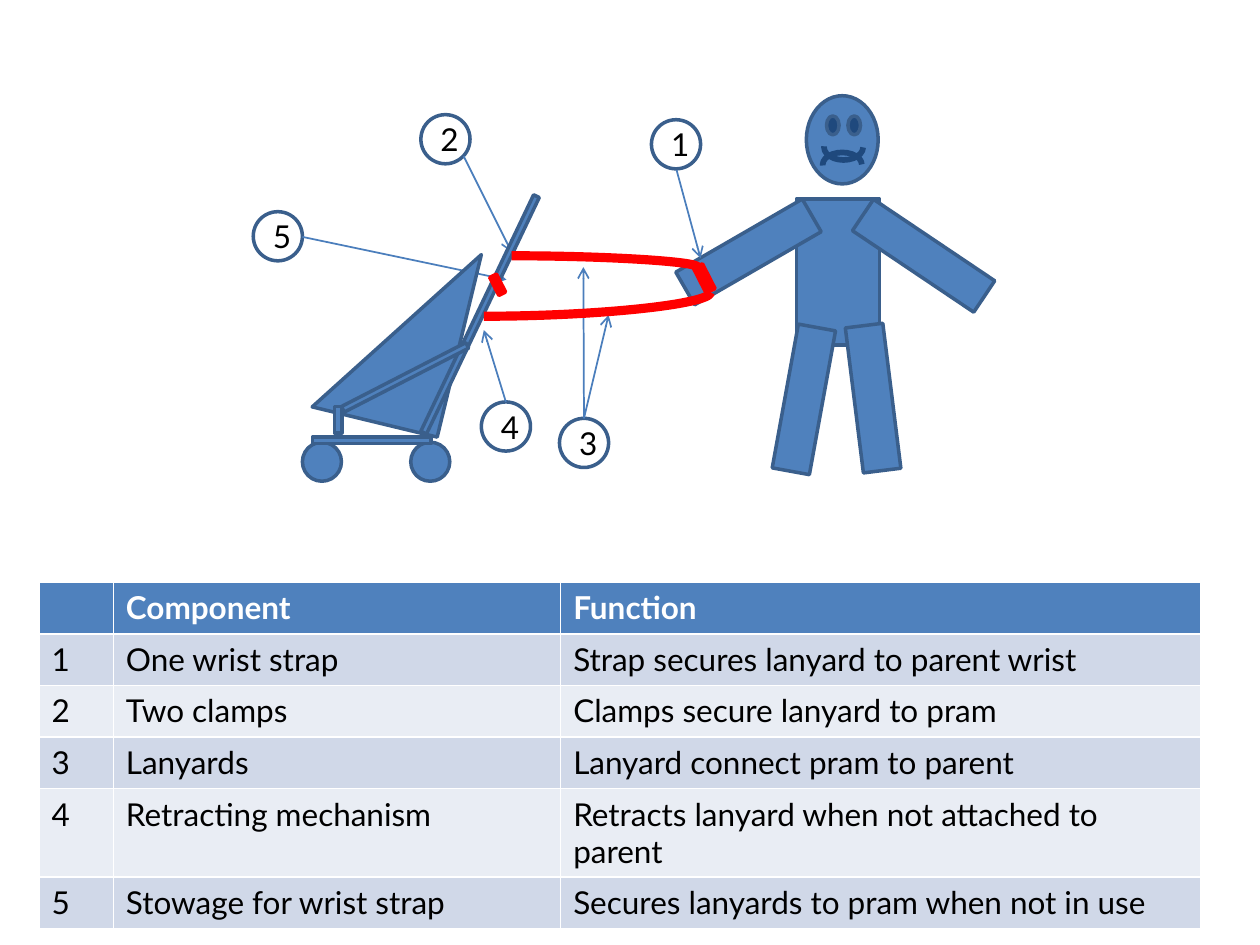
from lxml import etree
from pptx import Presentation
from pptx.dml.color import RGBColor
from pptx.enum.shapes import MSO_CONNECTOR, MSO_SHAPE
from pptx.enum.text import MSO_ANCHOR, PP_ALIGN
from pptx.oxml.ns import qn
from pptx.util import Inches, Pt

OVAL = MSO_SHAPE.OVAL
RECTANGLE = MSO_SHAPE.RECTANGLE
PROCESS = MSO_SHAPE.FLOWCHART_PROCESS
TRIANGLE = MSO_SHAPE.RIGHT_TRIANGLE
ARC = MSO_SHAPE.ARC
STRAIGHT = MSO_CONNECTOR.STRAIGHT
CURVE = MSO_CONNECTOR.CURVE
CENTER = PP_ALIGN.CENTER
MIDDLE = MSO_ANCHOR.MIDDLE

COLORS = {
    "blue": "4F81BD", "outline": "3A5F8C", "arrow": "4B7EBC", "navy": "1F497D",
    "red": "FF0000", "white": "FFFFFF", "black": "000000",
    "band_dark": "D0D8E8", "band_light": "E9EDF4",
}
FONT = {"name": "Lato", "size": Pt(18), "bold": False}
HEADER_FONT = {**FONT, "bold": True}

CALLOUT_SIZE = 0.39
CALLOUTS = {
    "1": (5.17, 0.95), "2": (3.34, 0.91), "3": (4.44, 3.32),
    "4": (3.82, 3.19), "5": (2.01, 1.68),
}
BACK_ARROWS = [((3.68, 1.24), (4.06, 2)), ((2.4, 1.88), (4.02, 2.22))]
FRONT_ARROWS = [((5.37, 1.35), (5.56, 2.05))]
TOP_ARROWS = [("3", (4.83, 2.5)), ("3", (4.63, 2.12)), ("4", (3.84, 2.62))]
LANYARDS = [((4.06, 2.03), (5.54, 2.12)), ((3.84, 2.51), (5.64, 2.32))]

PRAM = [
    (OVAL, (2.4, 3.51, 0.31, 0.31), 0),
    (OVAL, (3.26, 3.51, 0.31, 0.31), 0),
    (RECTANGLE, (2.48, 3.47, 0.94, 0.05), 0),
    (RECTANGLE, (2.58, 3.3, 0.21, 0.06), 270),
    (RECTANGLE, (2.77, 2.47, 2.08, 0.05), 295.5),
    (RECTANGLE, (2.66, 2.97, 1.11, 0.05), 332.8),
]
BODY = [
    ((6.32, 1.58, 0.66, 1.16), 0),
    ((5.79, 1.42, 0.3, 1.16), 60),
    ((7.18, 1.45, 0.3, 1.16), 123.9),
    ((6.23, 2.59, 0.3, 1.16), 10.3),
    ((6.78, 2.58, 0.3, 1.16), 352.9),
]
TABLE_BOX = (0.31, 4.62, 9.21, 2.46)
COLUMN_WIDTHS = [0.59, 3.55, 5.08]
ROWS = [
    ("", "Component", "Function"),
    ("1", "One wrist strap", "Strap secures lanyard to parent wrist"),
    ("2", "Two clamps", "Clamps secure lanyard to pram"),
    ("3", "Lanyards", "Lanyard connect pram to parent"),
    ("4", "Retracting mechanism", "Retracts lanyard when not attached to parent"),
    ("5", "Stowage for wrist strap", "Secures lanyards to pram when not in use"),
]


def rgb(name):
    """Return the named colour."""
    return RGBColor.from_string(COLORS[name])


def format_text(paragraph, color, values):
    """Apply font values and a colour to a paragraph."""
    for name, value in values.items():
        setattr(paragraph.font, name, value)
    paragraph.font.color.rgb = rgb(color)


def add_figure(shapes, kind, box, rotation=0, fill="blue", line="outline", width=2):
    """Add a preset shape, unfilled if fill is None."""
    shape = shapes.add_shape(kind, *map(Inches, box))
    shape.shadow.inherit = False
    shape.rotation = rotation
    if fill:
        shape.fill.solid()
        shape.fill.fore_color.rgb = rgb(fill)
    else:
        shape.fill.background()
    shape.line.color.rgb = rgb(line)
    shape.line.width = Pt(width)
    return shape


def flip(shape, direction):
    """Mirror a shape along flipH or flipV."""
    shape._element.spPr.find(qn("a:xfrm")).set(direction, "1")


def add_callout(shapes, number):
    """Add a numbered circle."""
    box = (*CALLOUTS[number], CALLOUT_SIZE, CALLOUT_SIZE)
    shape = add_figure(shapes, OVAL, box, fill="white")
    shape.text_frame.text = number
    shape.text_frame.vertical_anchor = MIDDLE
    paragraph = shape.text_frame.paragraphs[0]
    paragraph.alignment = CENTER
    format_text(paragraph, "black", FONT)
    return shape


def add_line(shapes, kind, start, end, color, width):
    """Add a connector without a shadow."""
    connector = shapes.add_connector(kind, *map(Inches, (*start, *end)))
    connector.line.color.rgb = rgb(color)
    connector.line.width = Pt(width)
    etree.SubElement(connector._element.spPr, qn("a:effectLst"))
    return connector


def add_arrow(shapes, start, end):
    """Add a thin arrow with an open head."""
    connector = add_line(shapes, STRAIGHT, start, end, "arrow", 1)
    etree.SubElement(connector.line._get_or_add_ln(), qn("a:tailEnd"), type="arrow")
    return connector


def add_lanyard(shapes, start, end):
    """Add a red lanyard that bends once."""
    connector = add_line(shapes, CURVE, start, end, "red", 5.25)
    geometry = connector._element.spPr.find(qn("a:prstGeom"))
    geometry.set("prst", "curvedConnector2")


def add_pram(shapes):
    """Add the pram and its stowage clip as one group."""
    parts = shapes.add_group_shape().shapes
    seat = add_figure(parts, TRIANGLE, (2.64, 1.88, 1.02, 1.49), 13.6)
    flip(seat, "flipH")
    for kind, box, rotation in PRAM:
        add_figure(parts, kind, box, rotation)
    add_figure(parts, PROCESS, (3.92, 2.18, 0.06, 0.16), 333, "red", "red")


def add_head(shapes):
    """Add the head with eyes and mouth."""
    add_figure(shapes, OVAL, (6.4, 0.76, 0.57, 0.7))
    for left in (6.56, 6.73):
        add_figure(shapes, OVAL, (left, 0.92, 0.1, 0.15), fill="navy")
    mouth = [
        add_figure(shapes, ARC, box, fill=None, line="navy", width=3.25)
        for box in ((6.54, 1.07, 0.31, 0.2), (6.53, 1.21, 0.31, 0.19))
    ]
    for arc in mouth:
        arc.adjustments[0] = 106.08
        arc.adjustments[1] = 0
    flip(mouth[0], "flipV")


def add_component_table(shapes):
    """Add the table of components and functions."""
    frame = shapes.add_table(len(ROWS), len(COLUMN_WIDTHS), *map(Inches, TABLE_BOX))
    table = frame.table
    for column, width in zip(table.columns, COLUMN_WIDTHS):
        column.width = Inches(width)
    for index, texts in enumerate(ROWS):
        fill = "band_dark" if index % 2 else "band_light"
        color, font = "black", FONT
        if index == 0:
            fill, color, font = "blue", "white", HEADER_FONT
        for cell, text in zip(table.rows[index].cells, texts):
            cell.text = text
            cell.fill.solid()
            cell.fill.fore_color.rgb = rgb(fill)
            format_text(cell.text_frame.paragraphs[0], color, font)


def main():
    """Build and save the slide."""
    presentation = Presentation()
    presentation.slide_width = Inches(10)
    presentation.slide_height = Inches(7.5)
    slide = presentation.slides.add_slide(presentation.slide_layouts[6])
    shapes = slide.shapes
    add_component_table(shapes)
    callouts = {number: add_callout(shapes, number) for number in CALLOUTS}
    for start, end in BACK_ARROWS:
        add_arrow(shapes, start, end)
    add_pram(shapes)
    for box, rotation in BODY:
        add_figure(shapes, RECTANGLE, box, rotation)
    add_figure(shapes, PROCESS, (5.55, 2.1, 0.08, 0.22), 333, "red", "red")
    for start, end in FRONT_ARROWS:
        add_arrow(shapes, start, end)
    for number, end in TOP_ARROWS:
        add_arrow(shapes, CALLOUTS[number], end).begin_connect(callouts[number], 0)
    for start, end in LANYARDS:
        add_lanyard(shapes, start, end)
    add_head(shapes)
    presentation.save("out.pptx")


if __name__ == "__main__":
    main()
